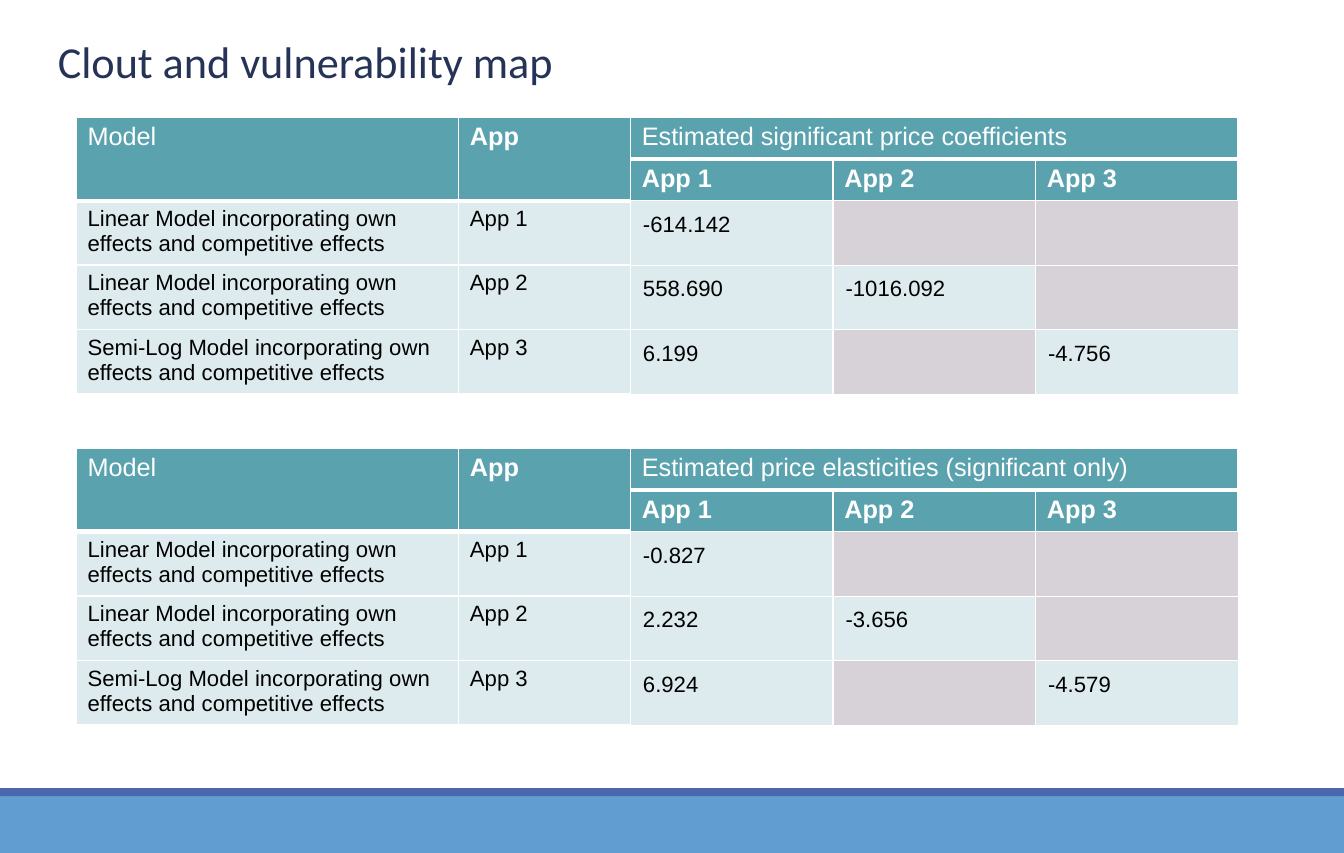
from dataclasses import dataclass

from lxml.etree import SubElement
from pptx import Presentation
from pptx.dml.color import RGBColor
from pptx.enum.shapes import MSO_SHAPE
from pptx.oxml.ns import qn
from pptx.slide import Slide
from pptx.table import _Cell as Cell
from pptx.util import Cm, Inches, Length, Pt

WHITE = RGBColor(0xFF, 0xFF, 0xFF)
BLACK = RGBColor(0x00, 0x00, 0x00)
NAVY = RGBColor(0x25, 0x33, 0x56)
FOOTER_BLUE = RGBColor(0x62, 0x9D, 0xD1)
STRIPE_BLUE = RGBColor(0x4A, 0x66, 0xAC)
TEAL = RGBColor(0x5A, 0xA2, 0xAE)
PALE_TEAL = RGBColor(0xDD, 0xEB, 0xEE)
GREY = RGBColor(0xD7, 0xD2, 0xD8)

SLIDE_WIDTH, SLIDE_HEIGHT = Cm(30), Cm(19.05)

# Shares of the slide's width and height, in percent
TABLE_LEFT = 5.67
COLUMN_SHARES = (28.45, 12.79, 15.07, 15.07, 15.07)
ROW_SHARES = (4.87, 4.87, 7.53, 7.53, 7.53)

APPS = ("App 1", "App 2", "App 3")
LINEAR = "Linear Model incorporating own effects and competitive effects"
SEMI_LOG = "Semi-Log Model incorporating own effects and competitive effects"
MODELS = (LINEAR, LINEAR, SEMI_LOG)


@dataclass(frozen=True)
class Band:
    top: float
    height: float
    color: RGBColor


@dataclass(frozen=True)
class Estimates:
    """One table: its heading, and per app the values by column ("" if not significant)."""
    top: float
    heading: str
    values: tuple[tuple[str, str, str], ...]


@dataclass(frozen=True)
class CellStyle:
    fill: RGBColor
    color: RGBColor = BLACK
    size: int = 14
    bold: bool = False
    margin_x: float = 0.1
    margin_y: float = 0.05
    borders: tuple[float, float, float, float] = (1, 1, 1, 1)  # left, right, top, bottom


HEADING = CellStyle(TEAL, WHITE, 16, borders=(1, 1, 1, 3))
BOLD_HEADING = CellStyle(TEAL, WHITE, 16, True, borders=(1, 1, 1, 3))
APP_HEADING = CellStyle(TEAL, WHITE, 16, True, borders=(1, 1, 1, 0.75))
MODEL = CellStyle(PALE_TEAL)
APP = CellStyle(PALE_TEAL, borders=(1, 0.75, 1, 1))
VALUE = CellStyle(PALE_TEAL, margin_x=0.11, margin_y=0.1, borders=(0.75,) * 4)
NO_VALUE = CellStyle(GREY, borders=(0.75,) * 4)

BANDS = (Band(93.33, 6.67, FOOTER_BLUE), Band(92.4, 0.93, STRIPE_BLUE))
TABLES = (
    Estimates(13.73, "Estimated significant price coefficients",
              (("-614.142", "", ""), ("558.690", "-1016.092", ""), ("6.199", "", "-4.756"))),
    Estimates(52.53, "Estimated price elasticities (significant only)",
              (("-0.827", "", ""), ("2.232", "-3.656", ""), ("6.924", "", "-4.579"))),
)


def across(percent: float) -> Length:
    return Length(round(SLIDE_WIDTH * percent / 100))


def down(percent: float) -> Length:
    return Length(round(SLIDE_HEIGHT * percent / 100))


def add_band(slide: Slide, band: Band) -> None:
    bar = slide.shapes.add_shape(
        MSO_SHAPE.RECTANGLE, 0, down(band.top), SLIDE_WIDTH, down(band.height))
    bar.shadow.inherit = False
    bar.fill.solid()
    bar.fill.fore_color.rgb = band.color
    bar.line.fill.background()


def add_title(slide: Slide, title: str) -> None:
    frame = slide.shapes.add_textbox(
        across(3.47), down(3.33), across(96.53), down(7.6)).text_frame
    frame.word_wrap = True
    frame.text = title
    font = frame.paragraphs[0].font
    font.name, font.size = "Calibri", Pt(28)
    font.color.rgb = NAVY


def set_borders(cell: Cell, widths: tuple[float, float, float, float]) -> None:
    properties = cell._tc.get_or_add_tcPr()
    for position, (side, width) in enumerate(zip("LRTB", widths)):
        line = SubElement(properties, qn(f"a:ln{side}"), w=str(Pt(width)))
        fill = SubElement(line, qn("a:solidFill"))
        SubElement(fill, qn("a:srgbClr"), val=str(WHITE))
        properties.insert(position, line)


def fill_cell(cell: Cell, text: str, style: CellStyle) -> None:
    cell.fill.solid()
    cell.fill.fore_color.rgb = style.fill
    cell.margin_left = cell.margin_right = Inches(style.margin_x)
    cell.margin_top = cell.margin_bottom = Inches(style.margin_y)
    cell.text = text
    font = cell.text_frame.paragraphs[0].font
    font.name, font.size, font.bold = "Arial", Pt(style.size), style.bold
    font.color.rgb = style.color
    set_borders(cell, style.borders)


def add_estimates(slide: Slide, estimates: Estimates) -> None:
    table = slide.shapes.add_table(
        len(ROW_SHARES), len(COLUMN_SHARES), across(TABLE_LEFT), down(estimates.top),
        across(sum(COLUMN_SHARES)), down(sum(ROW_SHARES))).table
    table.first_row = table.horz_banding = False
    for column, share in zip(table.columns, COLUMN_SHARES):
        column.width = across(share)
    for row, share in zip(table.rows, ROW_SHARES):
        row.height = down(share)

    rows = [
        [("Model", HEADING), ("App", BOLD_HEADING), (estimates.heading, HEADING),
         ("", HEADING), ("", HEADING)],
        [("", HEADING), ("", HEADING), *((app, APP_HEADING) for app in APPS)],
    ]
    for model, app, values in zip(MODELS, APPS, estimates.values):
        rows.append([(model, MODEL), (app, APP),
                     *((value, VALUE if value else NO_VALUE) for value in values)])
    for row_index, row in enumerate(rows):
        for column_index, (text, style) in enumerate(row):
            fill_cell(table.cell(row_index, column_index), text, style)

    for column_index in (0, 1):
        table.cell(0, column_index).merge(table.cell(1, column_index))
    table.cell(0, 2).merge(table.cell(0, 4))


def main() -> None:
    deck = Presentation()
    deck.slide_width, deck.slide_height = SLIDE_WIDTH, SLIDE_HEIGHT
    slide = deck.slides.add_slide(deck.slide_layouts[6])
    for band in BANDS:
        add_band(slide, band)
    add_title(slide, "Clout and vulnerability map")
    for estimates in TABLES:
        add_estimates(slide, estimates)
    deck.save("out.pptx")


if __name__ == "__main__":
    main()
